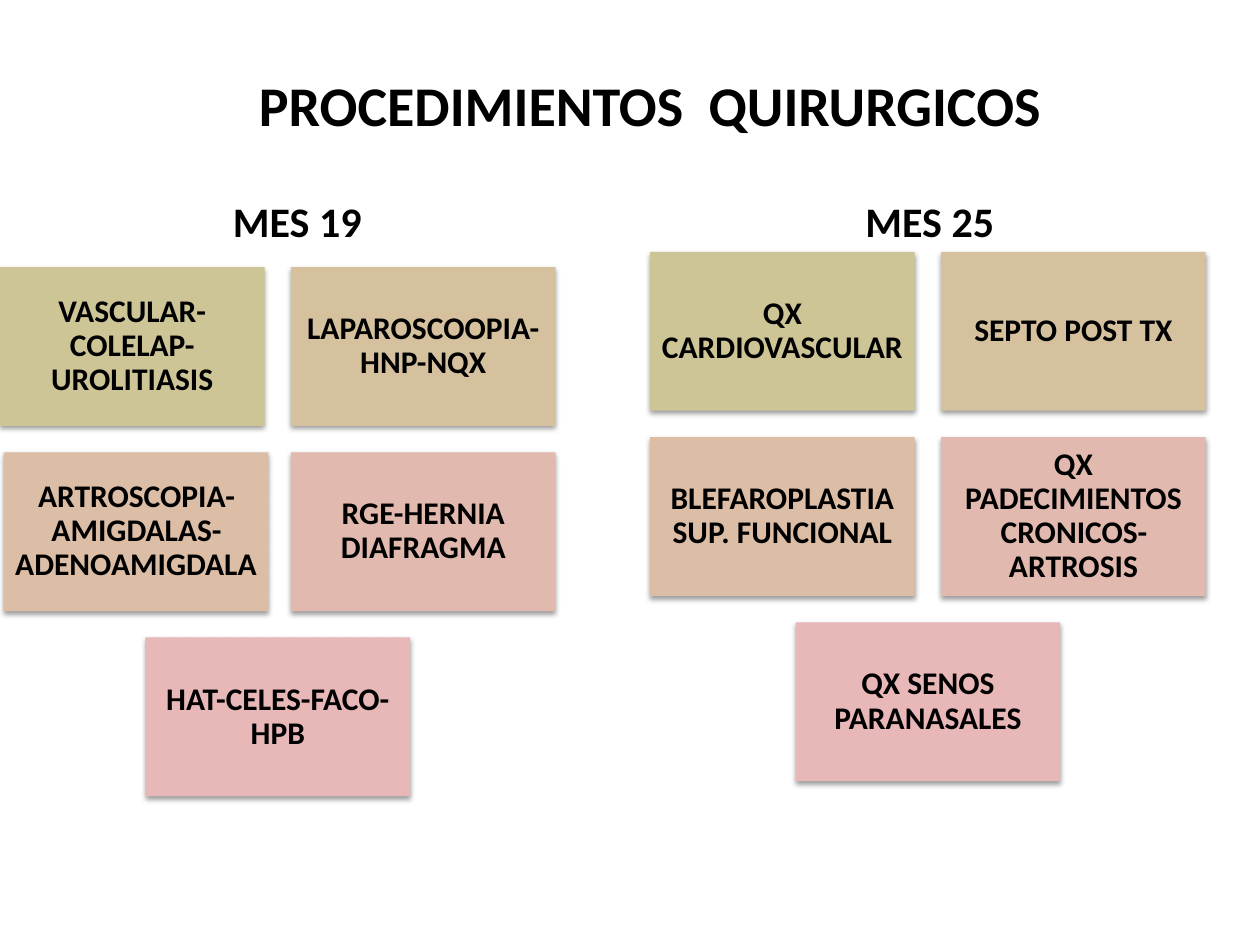
from lxml.etree import SubElement
from pptx import Presentation
from pptx.dml.color import RGBColor
from pptx.enum.shapes import MSO_SHAPE as Shape
from pptx.enum.text import MSO_ANCHOR as Anchor, MSO_AUTO_SIZE as AutoSize, PP_ALIGN as Align
from pptx.oxml.ns import qn
from pptx.util import Inches, Pt

# Card grid, in inches
CARD_WIDTH, CARD_HEIGHT = 2.1, 1.26
COLUMN_STEP, ROW_STEP = 2.31, 1.47
CELLS = [(0, 0), (1, 0), (0, 1), (1, 1), (0.5, 2)]
FILLS = ["CEC597", "D5C19E", "DCBDA6", "E2B9AE", "E8B7B7"]

# Each month: heading, heading left, grid origin, card texts
MONTHS = [
    ("MES 19", -0.02, (0, 2.12), [
        "VASCULAR-COLELAP-UROLITIASIS", "LAPAROSCOOPIA-HNP-NQX",
        "ARTROSCOPIA-AMIGDALAS-ADENOAMIGDALA", "RGE-HERNIA DIAFRAGMA",
        "HAT-CELES-FACO-HPB"]),
    ("MES 25", 5, (5.16, 2), [
        "QX CARDIOVASCULAR", "SEPTO POST TX", "BLEFAROPLASTIA SUP. FUNCIONAL",
        "QX PADECIMIENTOS CRONICOS-ARTROSIS", "QX SENOS PARANASALES"]),
]
NUDGES = {"ARTROSCOPIA-AMIGDALAS-ADENOAMIGDALA": 0.03}


def color(code):
    return RGBColor.from_string(code)


def apply(target, values):
    for name, value in values.items():
        setattr(target, name, value)


class SlideBuilder:
    font = {"name": "Calibri", "bold": True}
    text_color = "000000"

    def __init__(self, deck, layout):
        self.page = deck.slides.add_slide(deck.slide_layouts[layout])

    def label(self, box, text, size, margins, anchor, **spacing):
        frame = box.text_frame
        apply(frame, {"word_wrap": True, "auto_size": AutoSize.NONE,
                      "vertical_anchor": anchor, **margins})
        para = frame.paragraphs[0]
        apply(para, {"alignment": Align.CENTER, "space_before": Pt(0), **spacing})
        span = para.add_run()
        span.text = text
        apply(span.font, {**self.font, "size": Pt(size)})
        span.font.color.rgb = color(self.text_color)

    def heading(self, index, text, size, left, top, width, height):
        box = self.page.placeholders[index]
        apply(box, {"left": Inches(left), "top": Inches(top),
                    "width": Inches(width), "height": Inches(height)})
        margins = {"margin_left": Inches(0.1), "margin_right": Inches(0.1),
                   "margin_top": Inches(0.05), "margin_bottom": Inches(0.05)}
        self.label(box, text, size, margins, Anchor.TOP, line_spacing=1.0)

    def card(self, text, fill, left, top):
        box = self.page.shapes.add_shape(
            Shape.RECTANGLE, Inches(left), Inches(top),
            Inches(CARD_WIDTH), Inches(CARD_HEIGHT))
        box.fill.solid()
        box.fill.fore_color.rgb = color(fill)
        box.line.fill.background()
        self.shadow(box)
        margins = {f"margin_{side}": Inches(0.07)
                   for side in ("left", "right", "top", "bottom")}
        self.label(box, text, 18, margins, Anchor.MIDDLE,
                   line_spacing=0.9, space_after=Pt(6.3))

    def shadow(self, box):
        box.shadow.inherit = False
        effects = box._element.spPr.find(qn("a:effectLst"))
        outer = SubElement(effects, qn("a:outerShdw"), blurRad=str(Pt(3.1)),
                           dist=str(Pt(1.6)), dir="5400000", rotWithShape="0")
        tint = SubElement(outer, qn("a:srgbClr"), val="000000")
        SubElement(tint, qn("a:alpha"), val="38000")

    def remove_empty(self):
        for holder in list(self.page.placeholders):
            if not holder.text_frame.text:
                holder._element.getparent().remove(holder._element)


def main():
    deck = Presentation()
    apply(deck, {"slide_width": Inches(10), "slide_height": Inches(7.5)})
    builder = SlideBuilder(deck, layout=4)

    # Title
    builder.heading(0, "PROCEDIMIENTOS  QUIRURGICOS", 32, 0.75, 0.51, 8.82, 0.64)

    # Month headings and their cards
    for index, (month, heading_left, (left, top), texts) in zip((1, 3), MONTHS):
        builder.heading(index, month, 24, heading_left, 1.5, 4.76, 0.5)
        for text, fill, (column, row) in zip(texts, FILLS, CELLS):
            builder.card(text, fill,
                         left + column * COLUMN_STEP + NUDGES.get(text, 0),
                         top + row * ROW_STEP)

    builder.remove_empty()
    deck.save("out.pptx")


if __name__ == "__main__":
    main()
